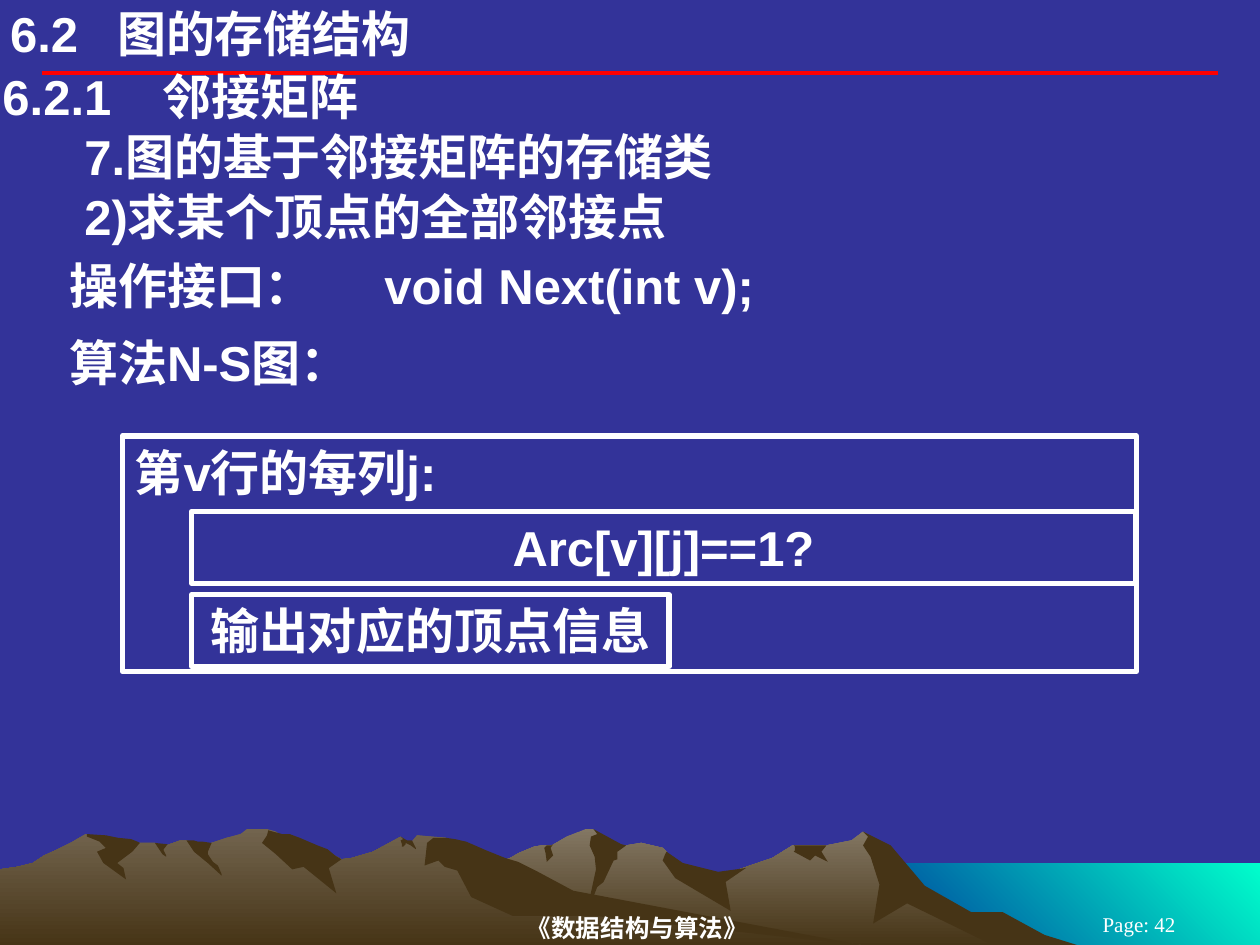
from lxml.etree import SubElement
from pptx import Presentation
from pptx.dml.color import RGBColor
from pptx.enum.shapes import MSO_CONNECTOR, MSO_SHAPE
from pptx.enum.text import MSO_ANCHOR, MSO_AUTO_SIZE, PP_ALIGN
from pptx.oxml.ns import qn
from pptx.util import Inches, Pt

NAVY = RGBColor(0x33, 0x33, 0x99)
WHITE = RGBColor(0xFF, 0xFF, 0xFF)
RED = RGBColor(0xFF, 0x00, 0x00)
AQUA = RGBColor(0x00, 0xFF, 0xCC)
DEEP_BLUE = RGBColor(0x00, 0x33, 0x99)
BROWN = RGBColor(0x46, 0x34, 0x16)
FRONT_TAN = RGBColor(0x72, 0x64, 0x4E)
BACK_TAN = RGBColor(0x83, 0x77, 0x63)

# Outlines in hundredths of an inch, measured from the slide's top left corner
SEA = [(1000, 752), (683, 752), (683, 685), (1000, 685)]
BACK_RIDGE = [
    (802, 740), (778, 727), (764, 723), (723, 698), (702, 671), (685, 660), (676, 667),
    (656, 671), (629, 671), (613, 681), (566, 697), (536, 690), (529, 676), (526, 673),
    (509, 669), (497, 671), (486, 673), (474, 661), (471, 658), (465, 658), (450, 664),
    (438, 671), (430, 671), (424, 672), (412, 677), (405, 681), (394, 685), (355, 698),
    (327, 709), (277, 739), (258, 751), (821, 751)]
BACK_SHADES = [
    [(796, 724), (771, 724), (734, 703), (707, 671), (685, 660), (689, 664), (685, 671),
     (691, 680), (698, 702), (693, 733), (720, 717), (792, 752), (858, 751), (829, 742)],
    [(471, 658), (474, 662), (469, 664), (468, 671), (472, 680), (473, 690), (465, 727),
     (474, 704), (479, 700), (487, 683), (490, 682), (490, 676), (497, 671), (493, 670)],
    [(529, 676), (528, 678), (526, 683), (536, 697), (580, 723), (576, 700), (592, 689),
     (570, 692), (542, 685)],
    [(650, 671), (630, 671), (631, 672), (631, 675), (630, 676), (643, 683), (647, 679),
     (657, 684), (652, 676), (656, 671)],
    [(433, 677), (432, 673), (434, 671), (438, 671), (439, 670), (437, 673), (439, 679),
     (434, 684)],
]
FRONT_RIDGE = [
    (690, 751), (667, 748), (432, 712), (354, 665), (331, 663), (327, 668), (323, 668),
    (318, 664), (296, 676), (279, 681), (271, 682), (260, 676), (236, 681), (223, 663),
    (219, 660), (212, 658), (196, 658), (191, 662), (180, 665), (168, 669), (160, 671),
    (148, 667), (143, 667), (132, 671), (128, 671), (123, 669), (111, 669), (94, 671),
    (68, 662), (56, 669), (46, 674), (35, 679), (26, 685), (14, 688), (0, 690), (0, 751)]
FRONT_SHADES = [
    [(212, 663), (208, 669), (219, 678), (232, 690), (241, 688), (267, 709), (261, 689),
     (271, 682), (266, 679), (260, 674), (252, 671), (238, 665), (230, 662), (224, 662),
     (213, 659)],
    [(370, 668), (361, 666), (354, 665), (344, 665), (339, 669), (337, 687), (348, 683),
     (353, 688), (363, 691), (374, 712), (407, 727), (472, 727), (690, 751), (683, 750),
     (455, 707), (427, 692), (411, 684), (401, 681), (386, 675)],
    [(318, 667), (320, 666), (318, 664), (323, 667), (327, 667), (330, 673), (330, 674),
     (326, 671), (322, 669), (322, 670), (320, 672), (319, 672), (319, 670)],
    [(154, 667), (157, 668), (161, 668), (168, 669), (165, 676), (165, 678), (169, 684),
     (173, 687), (176, 694), (176, 695), (165, 685), (154, 676), (148, 667)],
    [(133, 670), (130, 674), (130, 675), (132, 679), (132, 680), (129, 678), (123, 669)],
    [(109, 668), (111, 669), (105, 676), (93, 685), (98, 689), (100, 698), (82, 685),
     (77, 676), (84, 673), (79, 668), (69, 664), (69, 662), (84, 663), (94, 665),
     (104, 666)],
]


def add_outline(s, points, *colors, angle=270):
    """Draw a closed outline; two colours make a gradient."""
    builder = s.shapes.build_freeform(*points[0], scale=Inches(0.01))
    builder.add_line_segments(points[1:], close=True)
    sp = builder.convert_to_shape()
    sp.shadow.inherit = False
    sp.line.fill.background()
    if len(colors) == 1:
        sp.fill.solid()
        sp.fill.fore_color.rgb = colors[0]
        return
    sp.fill.gradient()
    sp.fill.gradient_angle = angle
    for stop, color in zip(sp.fill.gradient_stops, colors):
        stop.color.rgb = color


def add_landscape(s):
    add_outline(s, SEA, AQUA, DEEP_BLUE, angle=225)
    for ridge, tan, shades in ((BACK_RIDGE, BACK_TAN, BACK_SHADES),
                               (FRONT_RIDGE, FRONT_TAN, FRONT_SHADES)):
        add_outline(s, ridge, tan, BROWN)
        for shade in shades:
            add_outline(s, shade, BROWN)


def set_text(sp, text, size=28, font="Arial", bold=True, align=PP_ALIGN.LEFT,
             anchor=MSO_ANCHOR.TOP, inset=(0.02, 0.01), indent=0, tab=None):
    tf = sp.text_frame
    tf.text = text
    tf.word_wrap = True
    tf.auto_size = MSO_AUTO_SIZE.NONE
    tf.vertical_anchor = anchor
    tf.margin_left = tf.margin_right = Inches(inset[0])
    tf.margin_top = tf.margin_bottom = Inches(inset[1])
    p = tf.paragraphs[0]
    p.alignment = align
    pPr = p._p.get_or_add_pPr()
    if indent:
        pPr.set("marL", str(Inches(indent)))
        pPr.set("indent", "0")
    if tab:
        tabs = SubElement(pPr, qn("a:tabLst"))
        SubElement(tabs, qn("a:tab"), pos=str(Inches(tab)), algn="l")
    for r in p.runs:
        r.font.size = Pt(size)
        r.font.name = font
        r.font.bold = bold
        r.font.color.rgb = WHITE


def add_text(s, box, text, **style):
    set_text(s.shapes.add_textbox(*map(Inches, box)), text, **style)


def add_heading(s, left, top, width, height):
    title = s.shapes.title
    title.left, title.top, title.width, title.height = map(
        Inches, (left, top, width, height))
    set_text(title, "6.2\t图的存储结构", inset=(0, 0), tab=0.85)
    rule = s.shapes.add_connector(MSO_CONNECTOR.STRAIGHT, Inches(0.33), Inches(0.58),
                                  Inches(9.67), Inches(0.58))
    rule.line.color.rgb = RED
    rule.line.width = Pt(2.25)
    SubElement(rule._element.spPr, qn("a:effectLst"))


def add_outline_lines(s, left, width, height):
    lines = [
        (0.52, "6.2.1\t邻接矩阵", {"tab": 1.27}),
        (0.99, "7.图的基于邻接矩阵的存储类", {"indent": 0.65}),
        (1.47, "2)求某个顶点的全部邻接点", {"indent": 0.65}),
        (2.02, "操作接口：", {"indent": 0.53}),
        (2.63, "算法N-S图：", {"indent": 0.53}),
    ]
    for top, text, style in lines:
        add_text(s, (left, top, width, height), text, **style)
    add_text(s, (3.03, 2.02, 5.28, height), "void Next(int v);")


def add_ns_chart(s, left, top, width, height):
    """Nassi-Shneiderman chart: a loop frame around a test and an action."""
    body_left, body_width, row = left + 0.55, width - 0.56, 0.57
    cells = [
        ((left, top, width, height), "第v行的每列j:", PP_ALIGN.LEFT),
        ((body_left, top + 0.6, body_width, row), "Arc[v][j]==1?", PP_ALIGN.CENTER),
        ((body_left, top + 1.26, 3.79, row), "输出对应的顶点信息", PP_ALIGN.CENTER),
    ]
    for box, text, align in cells:
        sp = s.shapes.add_shape(MSO_SHAPE.RECTANGLE, *map(Inches, box))
        sp.shadow.inherit = False
        sp.fill.background()
        sp.line.color.rgb = WHITE
        sp.line.width = Pt(3)
        set_text(sp, text, align=align, inset=(0.1, 0.05))


def add_footer(s):
    style = {"font": "Times New Roman", "align": PP_ALIGN.CENTER,
             "anchor": MSO_ANCHOR.MIDDLE}
    add_text(s, (2.03, 7.22, 6.06, 0.28), "《数据结构与算法》", size=14, **style)
    add_text(s, (8.25, 7.25, 1.58, 0.17), "Page: 42", size=12, bold=False, **style)


def main():
    prs = Presentation()
    prs.slide_width, prs.slide_height = Inches(10), Inches(7.5)
    s = prs.slides.add_slide(prs.slide_layouts[5])
    s.background.fill.solid()
    s.background.fill.fore_color.rgb = NAVY
    add_landscape(s)
    add_heading(s, 0.08, 0.03, 6.5, 0.47)
    add_outline_lines(s, 0, 10, 0.49)
    add_ns_chart(s, 0.97, 3.46, 8.05, 1.87)
    add_footer(s)
    prs.save("out.pptx")


if __name__ == "__main__":
    main()
